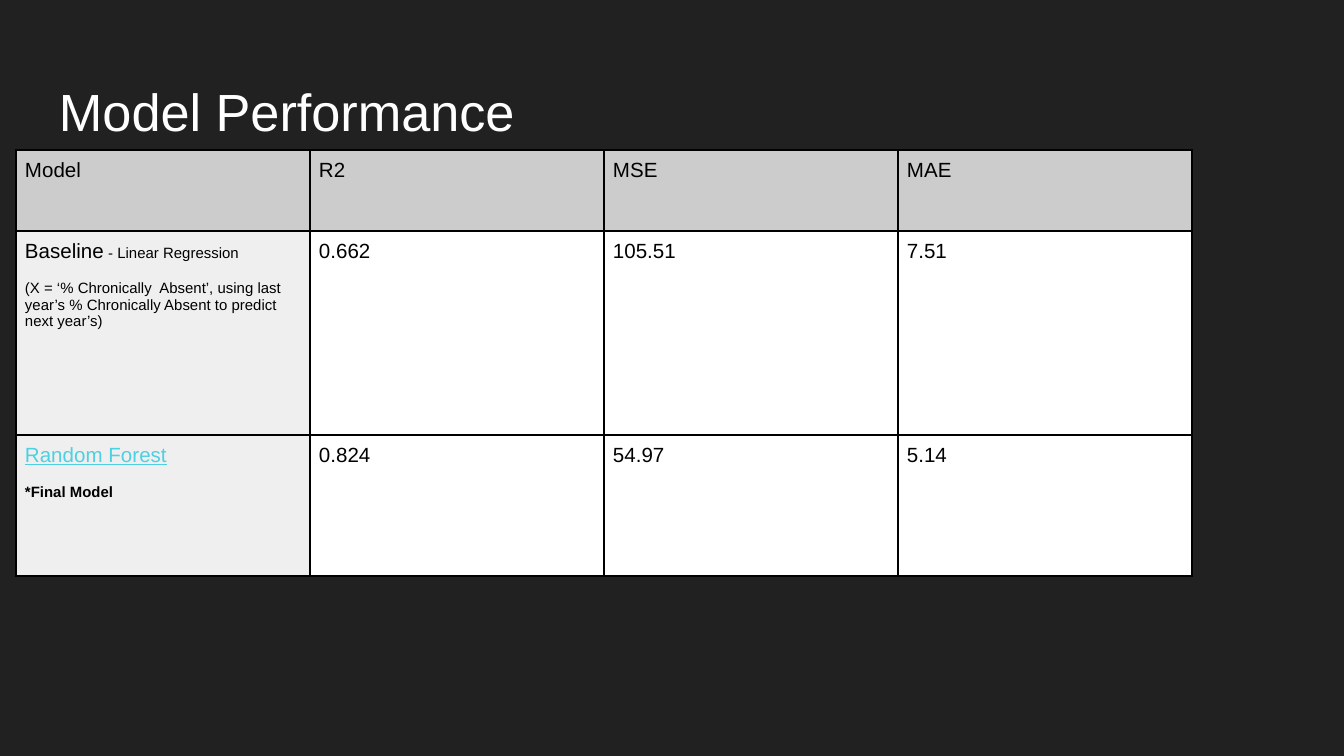
from lxml.etree import SubElement
from pptx import Presentation
from pptx.dml.color import RGBColor
from pptx.enum.text import MSO_ANCHOR, PP_ALIGN
from pptx.oxml.ns import qn
from pptx.util import Emu, Pt

SCALE = 914400 / 134.4
HEADER = ["Model", "R2", "MSE", "MAE"]
BASELINE_NOTE = ("(X = ‘% Chronically  Absent’, using last year’s "
                 "% Chronically Absent to predict next year’s)")
BASELINE = [[("Baseline", {}), (" - Linear Regression", {"size": 8})],
            [(BASELINE_NOTE, {"size": 8})]]
FOREST = [[("Random Forest", {"color": "4DD0E1", "underline": True})],
          [("*Final Model", {"size": 8, "bold": True})]]
ROWS = [HEADER,
        [BASELINE, "0.662", "105.51", "7.51"],
        [FOREST, "0.824", "54.97", "5.14"]]


def px(length):
    """Turn pixels into EMU."""
    return Emu(round(length * SCALE))


def rgb(value):
    """Turn a hex string into a colour."""
    return RGBColor.from_string(value)


def add_span(para, text, size=11, color="000000", bold=False, underline=False):
    """Add formatted text to a paragraph."""
    span = para.add_run()
    span.text = text
    span.font.name = "Arial"
    span.font.size = Pt(size)
    span.font.bold = bold
    span.font.underline = underline
    span.font.color.rgb = rgb(color)


class SlideBuilder:
    """Hold the slide and its style."""

    background = "212121"
    title_color = "FFFFFF"
    header_fill = "CCCCCC"
    label_fill = "EFEFEF"
    value_fill = "FFFFFF"
    border = "000000"
    cell_inset = 9
    title_inset = 13
    para_gap = 9

    def __init__(self, deck):
        """Add a title-only slide with a dark background."""
        self.slide = deck.slides.add_slide(deck.slide_layouts[5])
        fill = self.slide.background.fill
        fill.solid()
        fill.fore_color.rgb = rgb(self.background)

    def set_margins(self, box, inset):
        """Give a box the same inset on every side."""
        box.margin_left = box.margin_right = px(inset)
        box.margin_top = box.margin_bottom = px(inset)

    def add_title(self, text, left, top, width, height):
        """Place and format the title."""
        title = self.slide.shapes.title
        title.left, title.top = px(left), px(top)
        title.width, title.height = px(width), px(height)
        frame = title.text_frame
        frame.word_wrap = True
        frame.vertical_anchor = MSO_ANCHOR.TOP
        self.set_margins(frame, self.title_inset)
        para = frame.paragraphs[0]
        para.alignment = PP_ALIGN.LEFT
        add_span(para, text, size=28, color=self.title_color)

    def add_table(self, rows, left, top, column_width, row_heights):
        """Add a table with equal columns."""
        columns = len(rows[0])
        frame = self.slide.shapes.add_table(
            len(rows), columns, px(left), px(top),
            px(column_width * columns), px(sum(row_heights)))
        table = frame.table
        for column in table.columns:
            column.width = px(column_width)
        for i, (row, height) in enumerate(zip(rows, row_heights)):
            table.rows[i].height = px(height)
            for j, content in enumerate(row):
                body_fill = self.value_fill if j else self.label_fill
                self.fill_cell(table.cell(i, j), content,
                               body_fill if i else self.header_fill)

    def fill_cell(self, cell, content, fill):
        """Write and style one cell."""
        self.set_margins(cell, self.cell_inset)
        paragraphs = [[(content, {})]] if isinstance(content, str) else content
        for i, spans in enumerate(paragraphs):
            if i:
                para = cell.text_frame.add_paragraph()
                para.space_before = Pt(self.para_gap)
            else:
                para = cell.text_frame.paragraphs[0]
            for text, style in spans:
                add_span(para, text, **style)
        self.add_borders(cell)
        cell.fill.solid()
        cell.fill.fore_color.rgb = rgb(fill)

    def add_borders(self, cell):
        """Draw a thin line on each side of a cell."""
        properties = cell._tc.get_or_add_tcPr()
        for side in ("a:lnL", "a:lnR", "a:lnT", "a:lnB"):
            line = SubElement(properties, qn(side), w=str(Pt(1)))
            solid = SubElement(line, qn("a:solidFill"))
            SubElement(solid, qn("a:srgbClr"), val=self.border)


def main():
    """Build and save the deck."""
    deck = Presentation()
    deck.slide_width, deck.slide_height = px(1344), px(756)
    builder = SlideBuilder(deck)
    builder.add_title("Model Performance", 46, 66, 1253, 85)
    builder.add_table(ROWS, 16, 150, 294, [81, 204, 141])
    deck.save("out.pptx")


if __name__ == "__main__":
    main()
